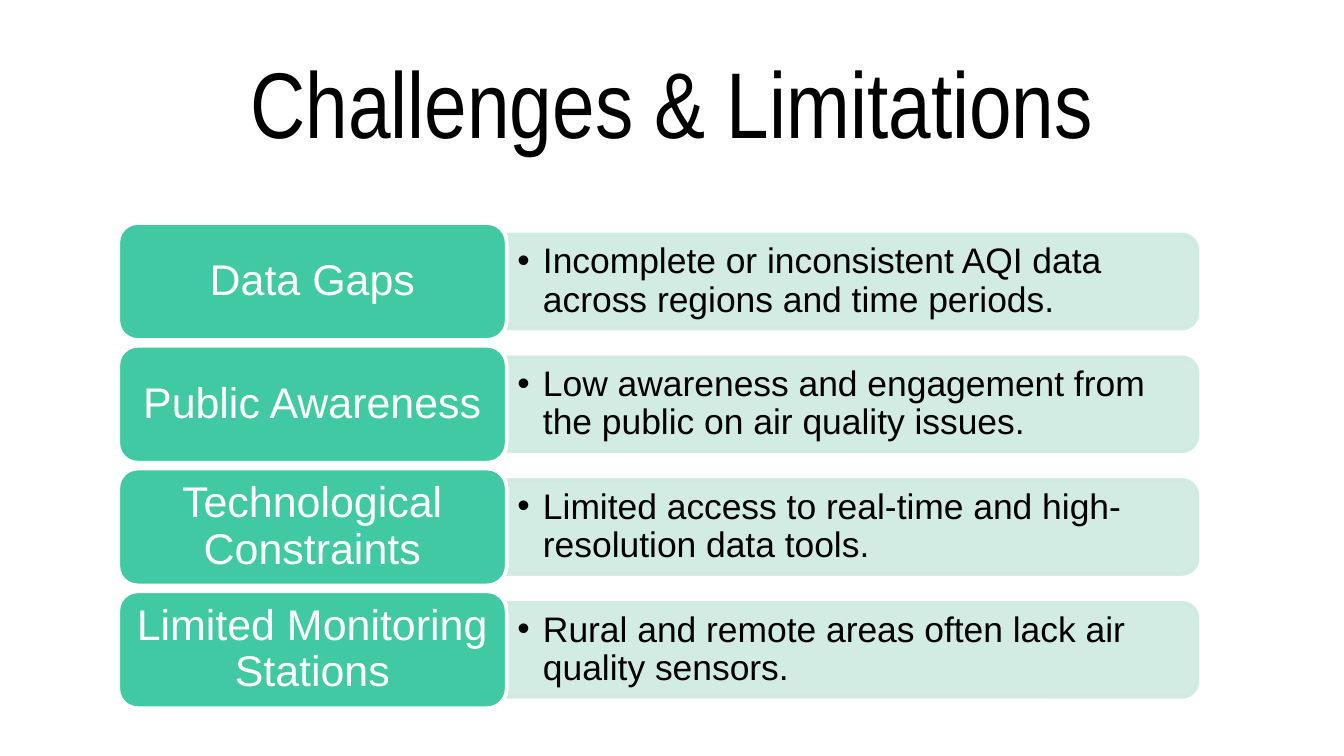
"""Build the Challenges & Limitations slide: four labelled rows, each with a bulleted remark."""
from lxml.etree import SubElement
from pptx import Presentation
from pptx.dml.color import RGBColor
from pptx.enum.shapes import MSO_SHAPE
from pptx.enum.text import MSO_ANCHOR, MSO_AUTO_SIZE, PP_ALIGN
from pptx.oxml.ns import qn
from pptx.util import Inches, Pt


def paint(color_format, color):
    color_format.rgb = RGBColor.from_string(color)


def write(shape, text, font_name, size, color, anchor, margins, bullet=False):
    frame = shape.text_frame
    frame.word_wrap = True
    frame.auto_size = MSO_AUTO_SIZE.NONE
    frame.vertical_anchor = anchor
    frame.margin_left = frame.margin_right = Inches(margins[0])
    frame.margin_top = frame.margin_bottom = Inches(margins[1])
    paragraph = frame.paragraphs[0]
    paragraph.alignment = PP_ALIGN.LEFT if bullet else PP_ALIGN.CENTER
    if bullet:
        properties = paragraph._p.get_or_add_pPr()
        properties.set("marL", str(Inches(0.19)))
        properties.set("indent", str(-Inches(0.19)))
        SubElement(properties, qn("a:buFont"), typeface="Arial")
        SubElement(properties, qn("a:buChar"), char="•")
    run = paragraph.add_run()
    run.text = text
    run.font.name = font_name
    run.font.size = Pt(size)
    paint(run.font.color, color)
    return paragraph


ROWS = [
    ("Data Gaps", "Incomplete or inconsistent AQI data across regions and time periods."),
    ("Public Awareness", "Low awareness and engagement from the public on air quality issues."),
    ("Technological Constraints", "Limited access to real-time and high-resolution data tools."),
    ("Limited Monitoring Stations", "Rural and remote areas often lack air quality sensors."),
]
LEFT, LABEL_WIDTH, BAND_WIDTH = 0.88, 2.89, 5.14
TOP, BOTTOM, LABEL_HEIGHT, BAND_HEIGHT = 1.66, 5.27, 0.87, 0.7
REMARK_WIDTH, REMARK_HEIGHT = 5.11, 0.63
BAND_LEFT = LEFT + LABEL_WIDTH
ROW_PITCH = (BOTTOM - TOP - LABEL_HEIGHT) / (len(ROWS) - 1)

presentation = Presentation()
presentation.slide_width = Inches(10)
presentation.slide_height = presentation.slide_width * 9 // 16
slide = presentation.slides.add_slide(presentation.slide_layouts[5])

title = slide.shapes.title
title.left, title.top, title.width, title.height = map(Inches, (0.34, 0.24, 9.32, 1.03))
write(title, "Challenges & Limitations", "Arial Narrow", 50, "000000", MSO_ANCHOR.BOTTOM, (0.1, 0.1))

for index, (heading, remark) in enumerate(ROWS):
    row_top = TOP + index * ROW_PITCH
    middle = row_top + LABEL_HEIGHT / 2

    band = slide.shapes.add_shape(
        MSO_SHAPE.ROUND_2_SAME_RECTANGLE,
        Inches(BAND_LEFT + (BAND_WIDTH - BAND_HEIGHT) / 2), Inches(middle - BAND_WIDTH / 2),
        Inches(BAND_HEIGHT), Inches(BAND_WIDTH))
    band.rotation = 90
    remark_box = slide.shapes.add_textbox(
        Inches(BAND_LEFT), Inches(middle - REMARK_HEIGHT / 2), Inches(REMARK_WIDTH), Inches(REMARK_HEIGHT))
    label = slide.shapes.add_shape(
        MSO_SHAPE.ROUNDED_RECTANGLE,
        Inches(LEFT), Inches(row_top), Inches(LABEL_WIDTH), Inches(LABEL_HEIGHT))

    for shape, fill, line in ((band, "CFEBE0", "CFEBE0"), (label, "40C9A2", "FFFFFF")):
        shape.shadow.inherit = False
        shape.fill.solid()
        paint(shape.fill.fore_color, fill)
        paint(shape.line.color, line)
        shape.line.width = Pt(2)
    for color in band._element.spPr.iter(qn("a:srgbClr")):
        SubElement(color, qn("a:alpha"), val="90000")

    for paragraph in (
        write(remark_box, remark, "Arial", 19, "000000", MSO_ANCHOR.MIDDLE, (0.08, 0.04), bullet=True),
        write(label, heading, "Arial", 23, "FFFFFF", MSO_ANCHOR.MIDDLE, (0.08, 0.05)),
    ):
        paragraph.line_spacing = 0.9

presentation.save("out.pptx")
